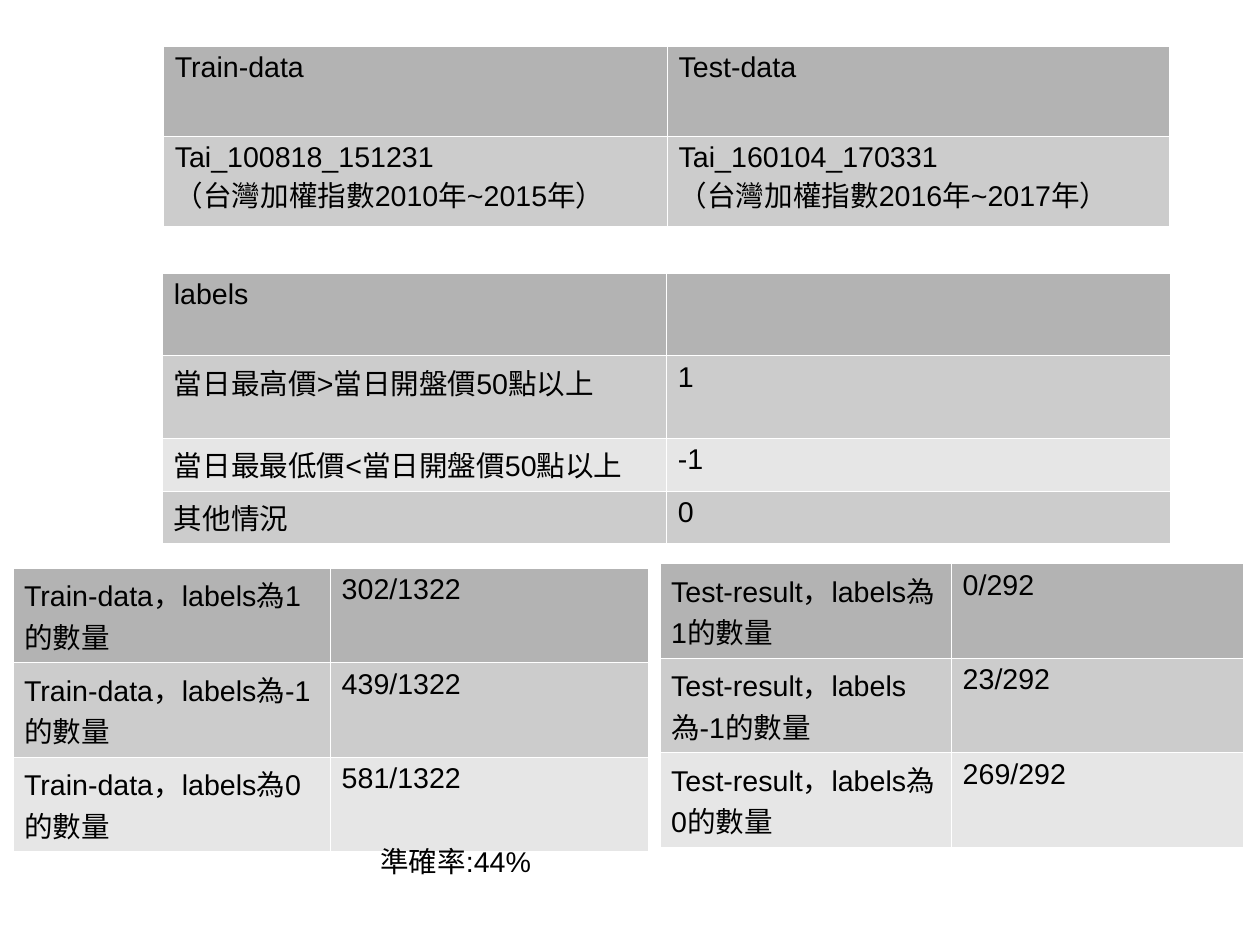
"""Build a slide of data sets, label rules and label counts for a stock index model."""
from lxml import etree
from pptx import Presentation
from pptx.dml.color import RGBColor
from pptx.enum.text import MSO_AUTO_SIZE
from pptx.oxml.ns import qn
from pptx.util import Cm, Pt

FIT_SHAPE = MSO_AUTO_SIZE.SHAPE_TO_FIT_TEXT


def count_rows(name, counts, total):
    return [(f"{name}，labels為{label}的數量", f"{count}/{total}")
            for label, count in zip((1, -1, 0), counts)]


TABLES = [
    {"at": (3.63, 1.02), "cols": (11.2, 11.15), "heights": (2, 2), "rows": [
        ("Train-data", "Test-data"),
        ("Tai_100818_151231\n（台灣加權指數2010年~2015年）",
         "Tai_160104_170331\n（台灣加權指數2016年~2017年）")]},
    {"at": (3.61, 6.07), "cols": (11.2, 11.2), "heights": (1.83, 1.83, 1.17, 1.17), "rows": [
        ("labels", ""),
        ("當日最高價>當日開盤價50點以上", "1"),
        ("當日最最低價<當日開盤價50點以上", "-1"),
        ("其他情況", "0")]},
    {"at": (0.28, 12.62), "cols": (7.06, 7.06), "heights": (2.1,) * 3,
     "rows": count_rows("Train-data", (302, 439, 581), 1322)},
    {"at": (14.66, 12.52), "cols": (6.48, 6.48), "heights": (2.1,) * 3,
     "rows": count_rows("Test-result", (0, 23, 269), 292)},
]
ACCURACY = {"text": "準確率:44%", "box": (8.2, 18.64, 12, 1.17)}

THEME = {
    "header": RGBColor.from_string("B3B3B3"),
    "bands": [RGBColor.from_string(c) for c in ("CCCCCC", "E6E6E6")],
    "border": "FFFFFF",
    "border_width": Pt(0.06),
    "text": RGBColor.from_string("000000"),
    "font": {"name": "Arial", "size": Pt(18), "bold": False},
}


def format_text(tf):
    for p in tf.paragraphs:
        for target in (p, *p.runs):
            for key, value in THEME["font"].items():
                setattr(target.font, key, value)
            target.font.color.rgb = THEME["text"]


def add_borders(cell):
    tc_pr = cell._tc.get_or_add_tcPr()
    for i, side in enumerate(("lnL", "lnR", "lnT", "lnB")):
        ln = etree.Element(qn(f"a:{side}"), w=str(int(THEME["border_width"])))
        fill = etree.SubElement(ln, qn("a:solidFill"))
        etree.SubElement(fill, qn("a:srgbClr"), val=THEME["border"])
        tc_pr.insert(i, ln)


def add_data_table(s, at, cols, heights, rows):
    box = (*at, sum(cols), sum(heights))
    table = s.shapes.add_table(len(rows), len(cols), *map(Cm, box)).table
    for column, width in zip(table.columns, cols):
        column.width = Cm(width)
    for i, (row, height, texts) in enumerate(zip(table.rows, heights, rows)):
        row.height = Cm(height)
        for cell, text in zip(row.cells, texts):
            cell.text = text
            format_text(cell.text_frame)
            cell.fill.solid()
            cell.fill.fore_color.rgb = THEME["bands"][(i - 1) % 2] if i else THEME["header"]
            add_borders(cell)


def add_label(s, text, box):
    tf = s.shapes.add_textbox(*map(Cm, box)).text_frame
    for key, value in {"word_wrap": True, "auto_size": FIT_SHAPE, "text": text}.items():
        setattr(tf, key, value)
    format_text(tf)


def main():
    prs = Presentation()
    prs.slide_width, prs.slide_height = Cm(28), Cm(21)
    s = prs.slides.add_slide(prs.slide_layouts[6])
    for table in TABLES:
        add_data_table(s, **table)
    add_label(s, **ACCURACY)
    prs.save("out.pptx")


if __name__ == "__main__":
    main()
